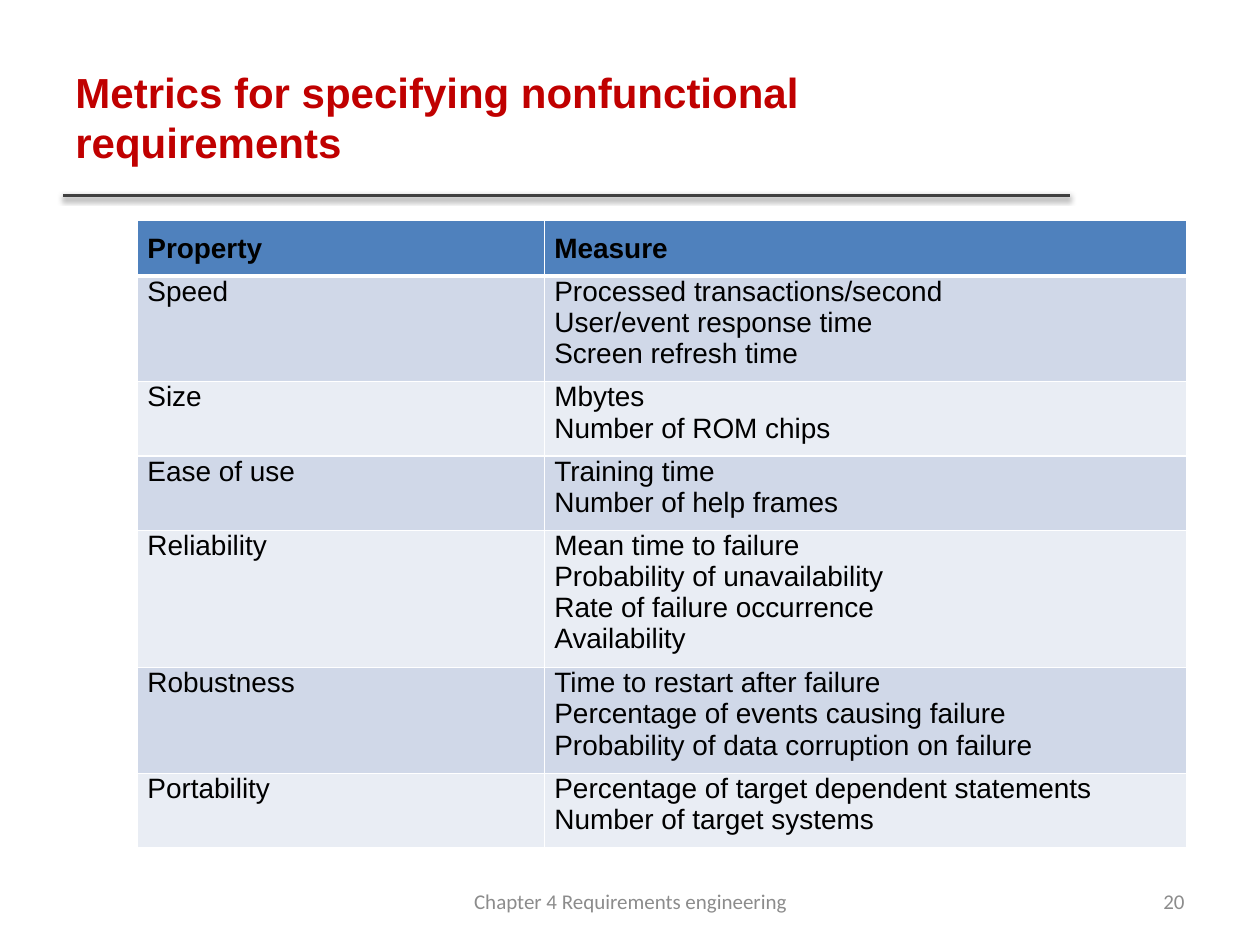
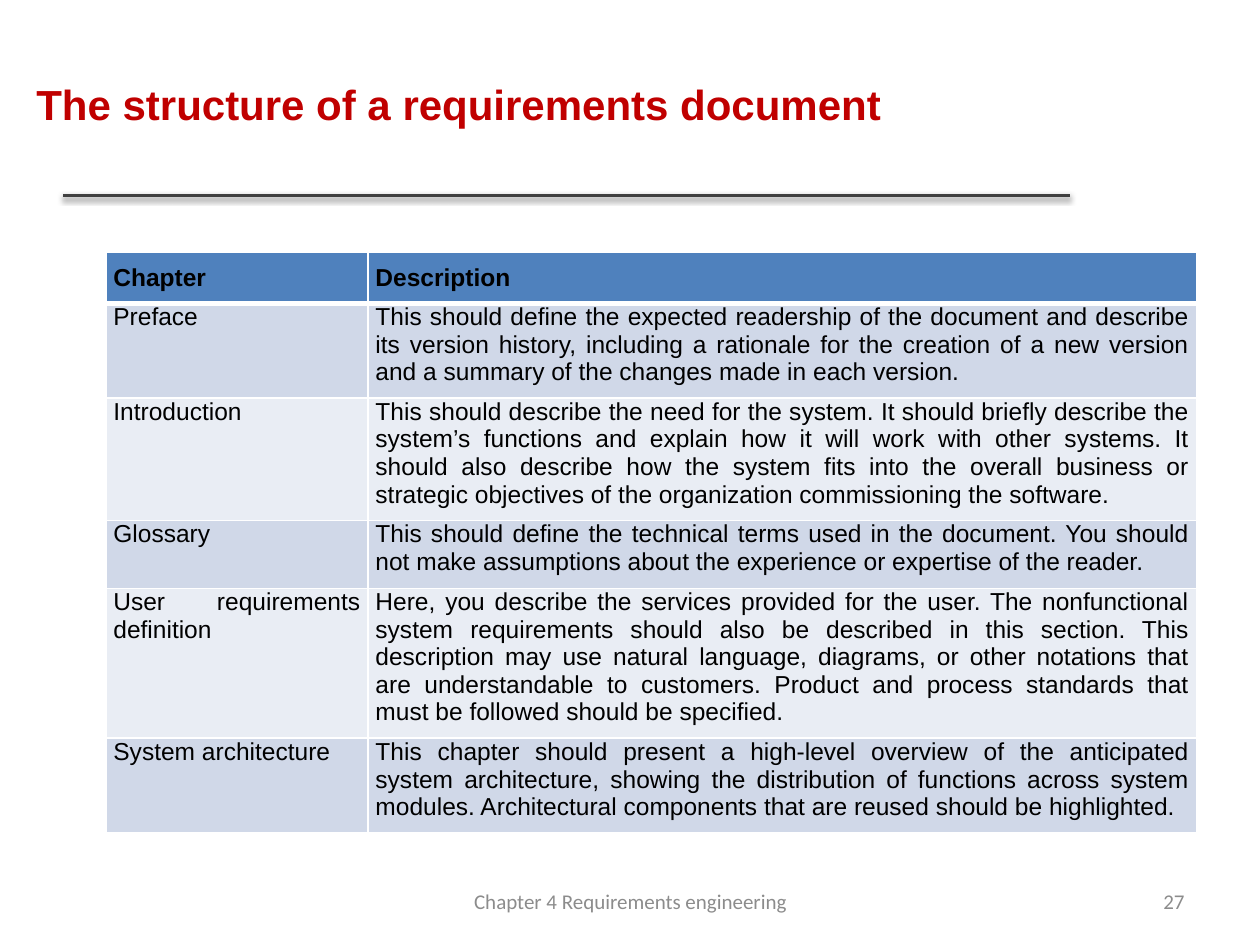
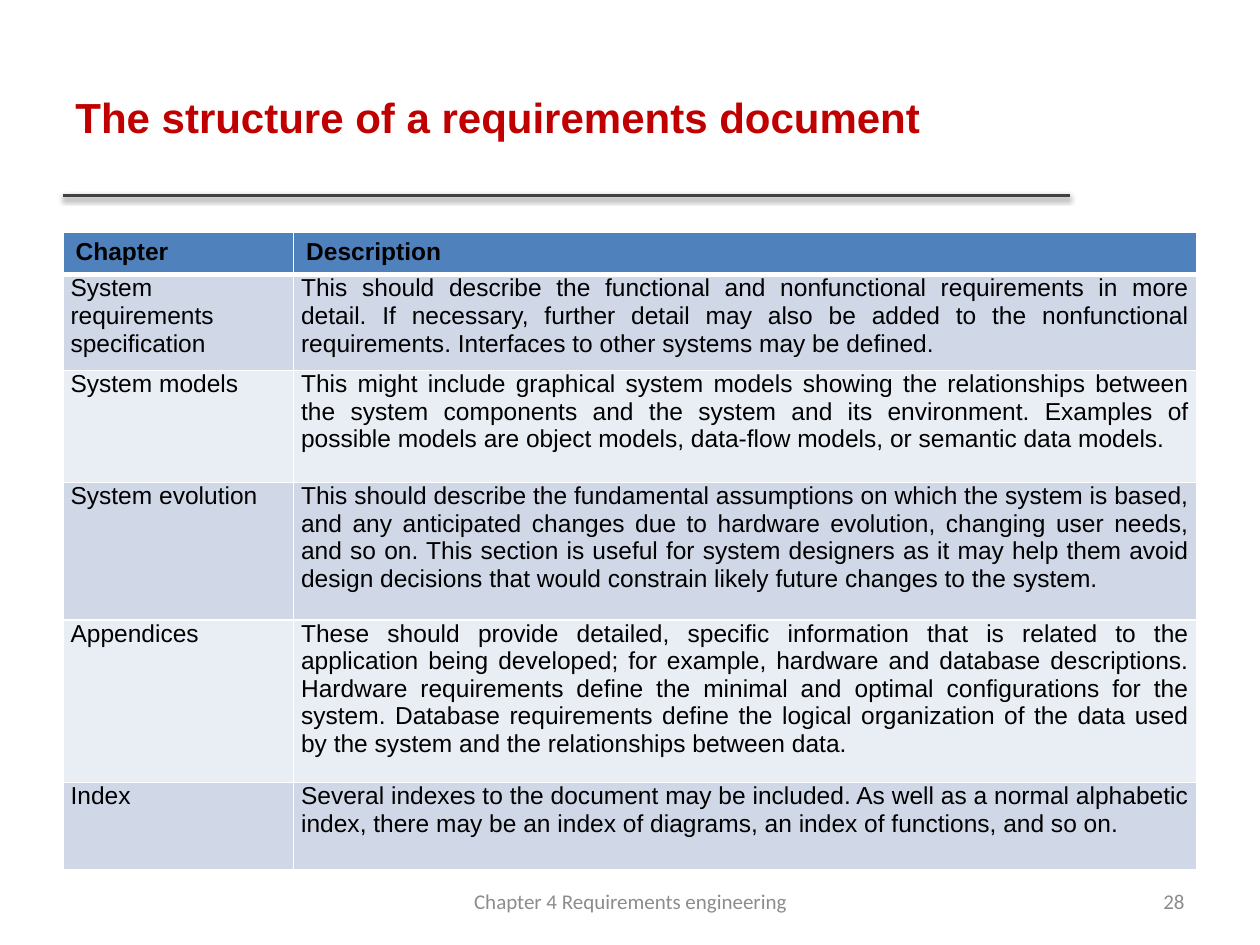
from lxml import etree
from pptx import Presentation
from pptx.dml.color import RGBColor
from pptx.enum.shapes import MSO_CONNECTOR
from pptx.enum.text import MSO_ANCHOR, PP_ALIGN
from pptx.oxml.ns import qn
from pptx.util import Inches, Pt

LEFT, CENTER, RIGHT, JUSTIFY = PP_ALIGN.LEFT, PP_ALIGN.CENTER, PP_ALIGN.RIGHT, PP_ALIGN.JUSTIFY
MIDDLE = MSO_ANCHOR.MIDDLE

COLORS = {
    "title": "C00000", "rule": "404040", "footer": "8C8C8C", "text": "000000",
    "header": "4F81BD", "odd_row": "D0D8E8", "even_row": "E9EDF4",
    "border": "FFFFFF", "shadow": "000000",
}
TITLE_FONT = {"name": "Arial", "size": Pt(24), "bold": True}
FOOTER_FONT = {"name": "Calibri", "size": Pt(12), "bold": False}

FOOTER = "Chapter 4 Requirements engineering"
FOOTER_AREA = (3.42, 6.95, 3.17, 0.4)
NUMBER_AREA = (7.17, 6.95, 2.33, 0.4)
TITLE_AREA = (0.5, 0.3, 7.98, 1.25)
RULE = (0.5, 1.55, 8.49, 1.55)

# Cell insets are (left, top, right, bottom) in inches.
# The row heights hold the space below the text, so body cells need no bottom inset.
SLIDES = [
    {
        "number": 20,
        "title": "Metrics for specifying nonfunctional requirements",
        "title_area": TITLE_AREA,
        "table_at": (1.09, 1.75),
        "columns": [3.23, 5.1],
        "heights": [0.44, 0.84, 0.59, 0.59, 1.09, 0.84, 0.59],
        "size": 16,
        "header_insets": (0.08, 0.1, 0.08, 0.05),
        "header_align": JUSTIFY,
        "body_insets": (0.08, 0, 0.08, 0),
        "rows": [
            ("Property", ["Measure"]),
            ("Speed", ["Processed transactions/second", "User/event response time",
                       "Screen refresh time"]),
            ("Size", ["Mbytes", "Number of ROM chips"]),
            ("Ease of use", ["Training time", "Number of help frames"]),
            ("Reliability", ["Mean time to failure", "Probability of unavailability",
                             "Rate of failure occurrence", "Availability"]),
            ("Robustness", ["Time to restart after failure",
                            "Percentage of events causing failure",
                            "Probability of data corruption on failure"]),
            ("Portability", ["Percentage of target dependent statements",
                             "Number of target systems"]),
        ],
    },
    {
        "number": 27,
        "title": "The structure of a requirements document",
        "title_area": (0.19, 0.23, 8.06, 1.19),
        "table_at": (0.84, 2),
        "columns": [2.08, 6.58],
        "heights": [0.41, 0.75, 0.97, 0.54, 1.19, 0.75],
        "size": 14,
        "header_insets": (0.06, 0.1, 0.06, 0.05),
        "header_align": JUSTIFY,
        "body_insets": (0.06, 0, 0.06, 0),
        "rows": [
            ("Chapter", ["Description"]),
            ("Preface", [
                "This should define the expected readership of the document and describe its "
                "version history, including a rationale for the creation of a new version and "
                "a summary of the changes made in each version."]),
            ("Introduction", [
                "This should describe the need for the system. It should briefly describe the "
                "system’s functions and explain how it will work with other systems. It should "
                "also describe how the system fits into the overall business or strategic "
                "objectives of the organization commissioning the software."]),
            ("Glossary", [
                "This should define the technical terms used in the document. You should not "
                "make assumptions about the experience or expertise of the reader."]),
            ("User requirements definition", [
                "Here, you describe the services provided for the user. The nonfunctional "
                "system requirements should also be described in this section. This "
                "description may use natural language, diagrams, or other notations that are "
                "understandable to customers. Product and process standards that must be "
                "followed should be specified."]),
            ("System architecture", [
                "This chapter should present a high-level overview of the anticipated system "
                "architecture, showing the distribution of functions across system modules. "
                "Architectural components that are reused should be highlighted."]),
        ],
    },
    {
        "number": 28,
        "title": "The structure of a requirements document",
        "title_area": TITLE_AREA,
        "table_at": (0.5, 1.84),
        "columns": [1.83, 7.17],
        "heights": [0.34, 0.76, 0.89, 1.09, 1.29, 0.69],
        "size": 14,
        "header_insets": (0.1, 0.05, 0.1, 0.03),
        "header_align": LEFT,
        "body_insets": (0.06, 0, 0.06, 0),
        "rows": [
            ("Chapter", ["Description"]),
            ("System requirements specification", [
                "This should describe the functional and nonfunctional requirements in more "
                "detail. If necessary, further detail may also be added to the nonfunctional "
                "requirements. Interfaces to other systems may be defined."]),
            ("System models", [
                "This might include graphical system models showing the relationships between "
                "the system components and the system and its environment. Examples of "
                "possible models are object models, data-flow models, or semantic data "
                "models."]),
            ("System evolution", [
                "This should describe the fundamental assumptions on which the system is "
                "based, and any anticipated changes due to hardware evolution, changing user "
                "needs, and so on. This section is useful for system designers as it may help "
                "them avoid design decisions that would constrain likely future changes to "
                "the system."]),
            ("Appendices", [
                "These should provide detailed, specific information that is related to the "
                "application being developed; for example, hardware and database "
                "descriptions. Hardware requirements define the minimal and optimal "
                "configurations for the system. Database requirements define the logical "
                "organization of the data used by the system and the relationships between "
                "data."]),
            ("Index", [
                "Several indexes to the document may be included. As well as a normal "
                "alphabetic index, there may be an index of diagrams, an index of functions, "
                "and so on."]),
        ],
    },
]


def rgb(name):
    return RGBColor.from_string(COLORS[name])


def add_xml(parent, tag, **attributes):
    values = {key: str(value) for key, value in attributes.items()}
    return etree.SubElement(parent, qn(tag), values)


def write_paragraphs(frame, lines, font, color, align):
    for index, line in enumerate(lines):
        para = frame.add_paragraph() if index else frame.paragraphs[0]
        para.alignment = align
        span = para.add_run()
        span.text = line
        for key, value in font.items():
            setattr(span.font, key, value)
        span.font.color.rgb = rgb(color)


def add_text(page, area, text, font, color, align):
    box = page.shapes.add_textbox(*map(Inches, area))
    box.text_frame.word_wrap = True
    box.text_frame.vertical_anchor = MIDDLE
    write_paragraphs(box.text_frame, [text], font, color, align)


def add_title_rule(page):
    rule = page.shapes.add_connector(MSO_CONNECTOR.STRAIGHT, *map(Inches, RULE))
    rule.line.color.rgb = rgb("rule")
    rule.line.width = Pt(2)
    effects = add_xml(rule._element.spPr, "a:effectLst")
    shadow = add_xml(effects, "a:outerShdw", blurRad=Pt(3.1), dist=Pt(1.6),
                     dir=90 * 60000, rotWithShape=0)
    color = add_xml(shadow, "a:srgbClr", val=COLORS["shadow"])
    add_xml(color, "a:alpha", val=38000)


def set_borders(cell, row_index):
    """Draw thin borders, with a thick one between the header and the body."""
    widths = {"L": 1, "R": 1, "T": 3 if row_index == 1 else 1, "B": 3 if row_index == 0 else 1}
    properties = cell._tc.get_or_add_tcPr()
    for side, width in widths.items():
        line = add_xml(properties, f"a:ln{side}", w=Pt(width))
        add_xml(add_xml(line, "a:solidFill"), "a:srgbClr", val=COLORS["border"])


def format_cell(cell, lines, row_index, content):
    is_header = row_index == 0
    part = "header" if is_header else "body"
    sides = ("margin_left", "margin_top", "margin_right", "margin_bottom")
    for side, inset in zip(sides, content[f"{part}_insets"]):
        setattr(cell, side, Inches(inset))
    set_borders(cell, row_index)
    cell.fill.solid()
    fill = "header" if is_header else "odd_row" if row_index % 2 else "even_row"
    cell.fill.fore_color.rgb = rgb(fill)
    font = {"name": "Arial", "size": Pt(content["size"]), "bold": is_header}
    align = content["header_align"] if is_header else JUSTIFY
    write_paragraphs(cell.text_frame, lines, font, "text", align)


def add_content_table(page, content):
    rows, columns, heights = content["rows"], content["columns"], content["heights"]
    area = (*content["table_at"], sum(columns), sum(heights))
    table = page.shapes.add_table(len(rows), len(columns), *map(Inches, area)).table
    table.horz_banding = False
    for column, width in zip(table.columns, columns):
        column.width = Inches(width)
    for index, (label, lines) in enumerate(rows):
        table.rows[index].height = Inches(heights[index])
        format_cell(table.cell(index, 0), [label], index, content)
        format_cell(table.cell(index, 1), lines, index, content)


def main():
    deck = Presentation()
    deck.slide_width, deck.slide_height = Inches(10), Inches(7.5)
    for content in SLIDES:
        page = deck.slides.add_slide(deck.slide_layouts[6])
        add_title_rule(page)
        add_text(page, content["title_area"], content["title"], TITLE_FONT, "title", LEFT)
        add_content_table(page, content)
        add_text(page, NUMBER_AREA, str(content["number"]), FOOTER_FONT, "footer", RIGHT)
        add_text(page, FOOTER_AREA, FOOTER, FOOTER_FONT, "footer", CENTER)
    deck.save("out.pptx")


if __name__ == "__main__":
    main()
